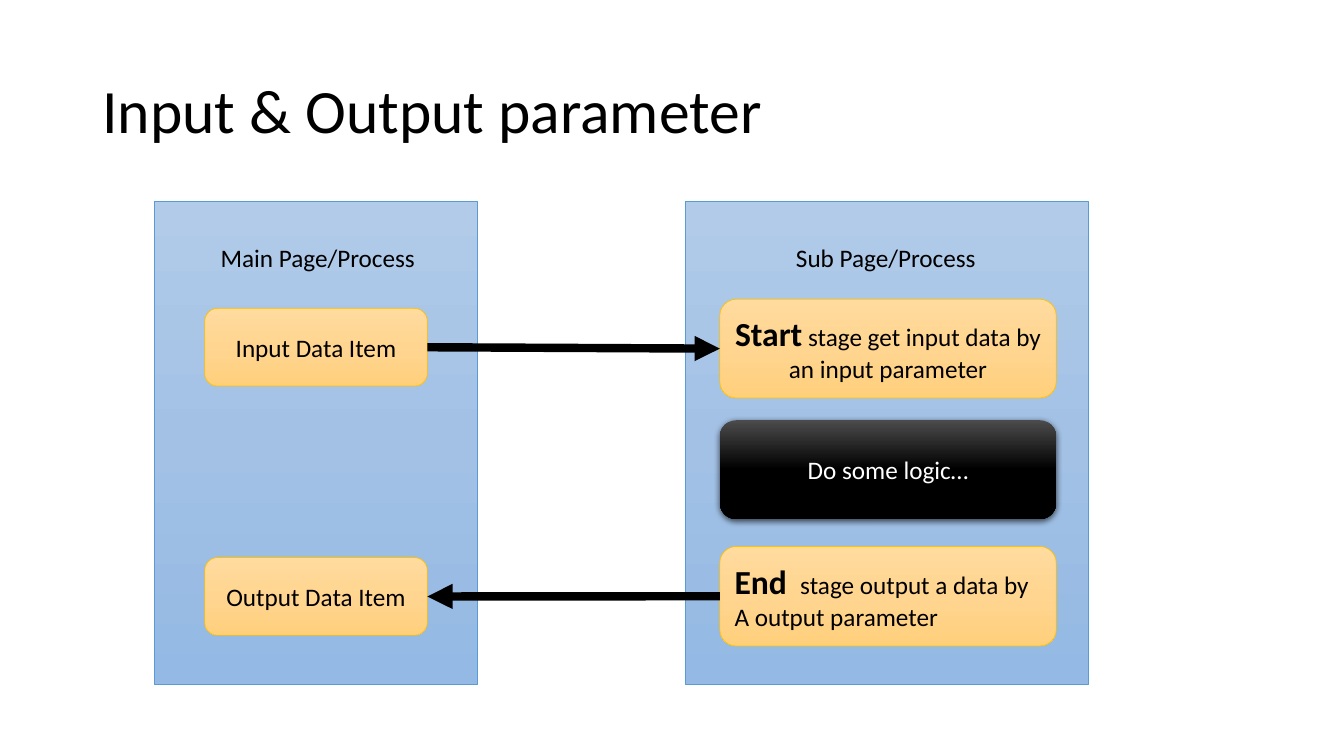
from copy import deepcopy
from dataclasses import dataclass

from pptx import Presentation
from pptx.dml.color import RGBColor
from pptx.enum.shapes import MSO_CONNECTOR, MSO_SHAPE
from pptx.enum.text import MSO_ANCHOR, MSO_AUTO_SIZE, PP_ALIGN
from pptx.oxml import parse_xml
from pptx.oxml.ns import nsdecls
from pptx.util import Cm, Pt

RECT, ROUNDED = MSO_SHAPE.RECTANGLE, MSO_SHAPE.ROUNDED_RECTANGLE
STRAIGHT = MSO_CONNECTOR.STRAIGHT
LEFT, CENTER = PP_ALIGN.LEFT, PP_ALIGN.CENTER
MIDDLE = MSO_ANCHOR.MIDDLE
GROW = MSO_AUTO_SIZE.SHAPE_TO_FIT_TEXT
LEFT_SIDE, RIGHT_SIDE = 1, 3


@dataclass(frozen=True)
class Theme:
    font: str = "Calibri"
    title_size: int = 44
    keyword_size: int = 24
    body_size: int = 18
    dark: str = "000000"
    light: str = "FFFFFF"
    page_fill: tuple = ("B1CBE9", "A3C1E5", "93B9E4")
    page_line: str = "5B9BD5"
    data_fill: tuple = ("FFDB9E", "FFD590", "FFD07C")
    data_line: str = "FFC000"
    logic_fill: tuple = ("4B4B4B", "000000", "000000")


theme = Theme()


def style_run(run, size, color=theme.dark, bold=False):
    run.font.name = theme.font
    run.font.size = Pt(size)
    run.font.bold = bold
    run.font.color.rgb = RGBColor.from_string(color)


def add_gradient_shape(shapes, kind, place, colors, line_color=None):
    shape = shapes.add_shape(kind, *map(Cm, place))
    shape.shadow.inherit = False
    shape.fill.gradient()
    shape.fill.gradient_angle = 270  # top to bottom
    stop_list = shape._element.spPr.xpath("./a:gradFill/a:gsLst")[0]
    stop_list.append(deepcopy(stop_list[0]))
    for stop, position, color in zip(shape.fill.gradient_stops, (0, 0.5, 1), colors):
        stop.position = position
        stop.color.rgb = RGBColor.from_string(color)
    if line_color:
        shape.line.color.rgb = RGBColor.from_string(line_color)
        shape.line.width = Pt(0.5)
    else:
        shape.line.fill.background()
    return shape


prs = Presentation()
prs.slide_width, prs.slide_height = Cm(33.87), Cm(19.05)
slide = prs.slides.add_slide(prs.slide_layouts[5])

# Title
title = slide.shapes.title
title.left, title.top, title.width, title.height = Cm(2.33), Cm(1.01), Cm(29.21), Cm(3.68)
title.text_frame.text = "Input & Output parameter"
title.text_frame.vertical_anchor = MIDDLE
heading = title.text_frame.paragraphs[0]
heading.alignment = LEFT
heading.line_spacing = 0.9
style_run(heading.runs[0], theme.title_size)

# Page panels with their labels
pages = [
    ("Main Page/Process", 3.89, 8.13, 5.31, 5.46),
    ("Sub Page/Process", 17.27, 10.16, 19.81, 5.08),
]
for caption, page_left, page_width, label_left, label_width in pages:
    page = slide.shapes.add_group_shape()
    add_gradient_shape(page.shapes, RECT, (page_left, 5.08, page_width, 12.17),
                       theme.page_fill, theme.page_line)
    label = page.shapes.add_textbox(Cm(label_left), Cm(5.97), Cm(label_width), Cm(1.02))
    label.text_frame.word_wrap = False
    label.text_frame.auto_size = GROW
    label.text_frame.text = caption
    style_run(label.text_frame.paragraphs[0].runs[0], theme.body_size)

# Data items and stages: place, alignment, bold keyword, remaining lines
steps = {
    "input": ((5.16, 7.77, 5.61, 1.96), CENTER, "", ["Input Data Item"]),
    "output": ((5.16, 14.05, 5.61, 1.96), CENTER, "", ["Output Data Item"]),
    "start": ((18.14, 7.54, 8.48, 2.49), CENTER, "Start",
              [" stage get input data by an input parameter"]),
    "end": ((18.14, 13.77, 8.48, 2.51), LEFT, "End ",
            [" stage output a data by", "A output parameter"]),
    "logic": ((18.14, 10.59, 8.48, 2.49), CENTER, "", ["Do some logic…"]),
}
boxes = {}
for step, (place, alignment, keyword, lines) in steps.items():
    is_logic = step == "logic"
    colors = theme.logic_fill if is_logic else theme.data_fill
    box = add_gradient_shape(slide.shapes, ROUNDED, place, colors,
                             None if is_logic else theme.data_line)
    frame = box.text_frame
    frame.vertical_anchor = MIDDLE
    frame.text = "\n".join([keyword or lines[0]] + lines[1:])
    if keyword:
        frame.paragraphs[0].add_run().text = lines[0]
    for paragraph in frame.paragraphs:
        paragraph.alignment = alignment
        for run in paragraph.runs:
            style_run(run, theme.body_size, theme.light if is_logic else theme.dark)
    if keyword:
        style_run(frame.paragraphs[0].runs[0], theme.keyword_size, bold=True)
    boxes[step] = box

# Soft shadow below the logic stage
effects = boxes["logic"]._element.spPr.xpath("./a:effectLst")[0]
effects.append(parse_xml(
    f'<a:outerShdw {nsdecls("a")} blurRad="57150" dist="19050" dir="5400000" '
    f'algn="ctr" rotWithShape="0"><a:srgbClr val="{theme.dark}">'
    '<a:alpha val="63000"/></a:srgbClr></a:outerShdw>'))

# Parameter arrows
for source, source_side, target, target_side in [
    ("input", RIGHT_SIDE, "start", LEFT_SIDE),
    ("end", LEFT_SIDE, "output", RIGHT_SIDE),
]:
    arrow = slide.shapes.add_connector(STRAIGHT, 0, 0, 0, 0)
    arrow.begin_connect(boxes[source], source_side)
    arrow.end_connect(boxes[target], target_side)
    arrow.line.color.rgb = RGBColor.from_string(theme.dark)
    arrow.line.width = Pt(6)
    arrow.line._get_or_add_ln().append(
        parse_xml(f'<a:tailEnd {nsdecls("a")} type="triangle"/>'))
    arrow._element.spPr.append(parse_xml(f'<a:effectLst {nsdecls("a")}/>'))

prs.save("out.pptx")
